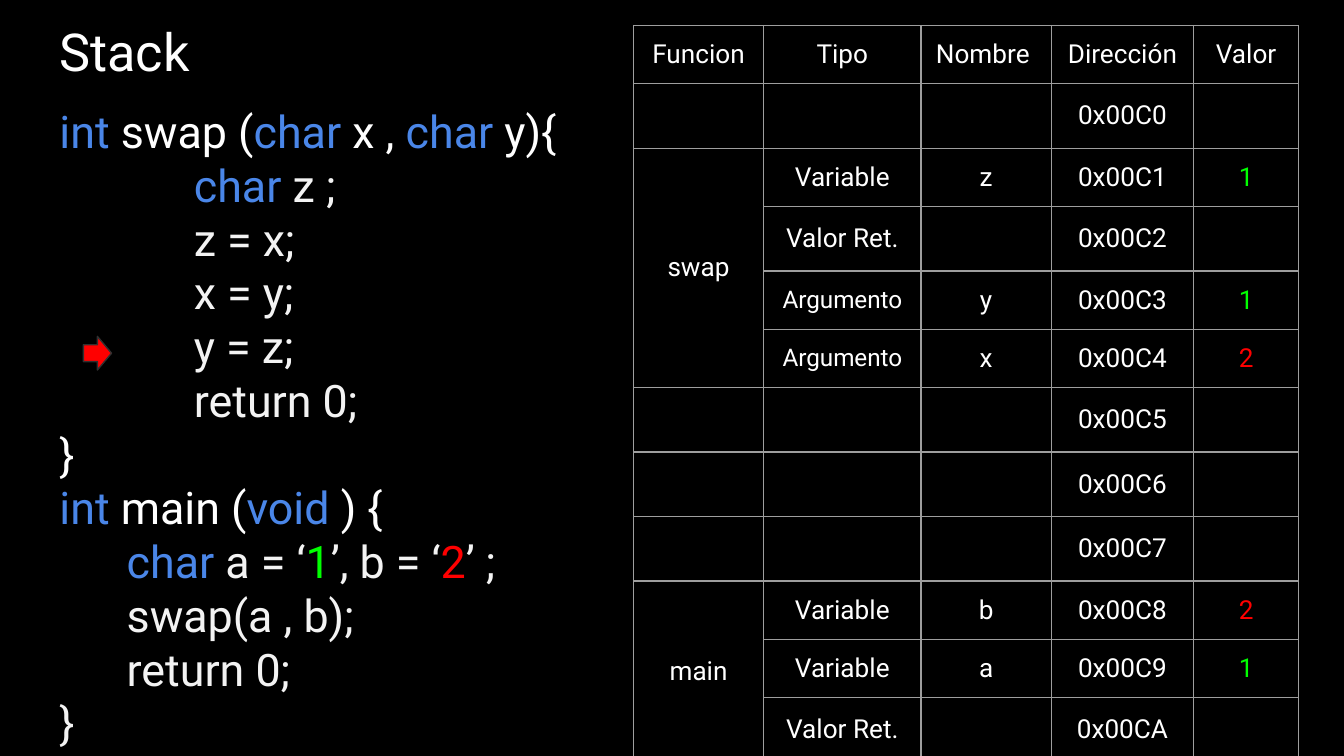
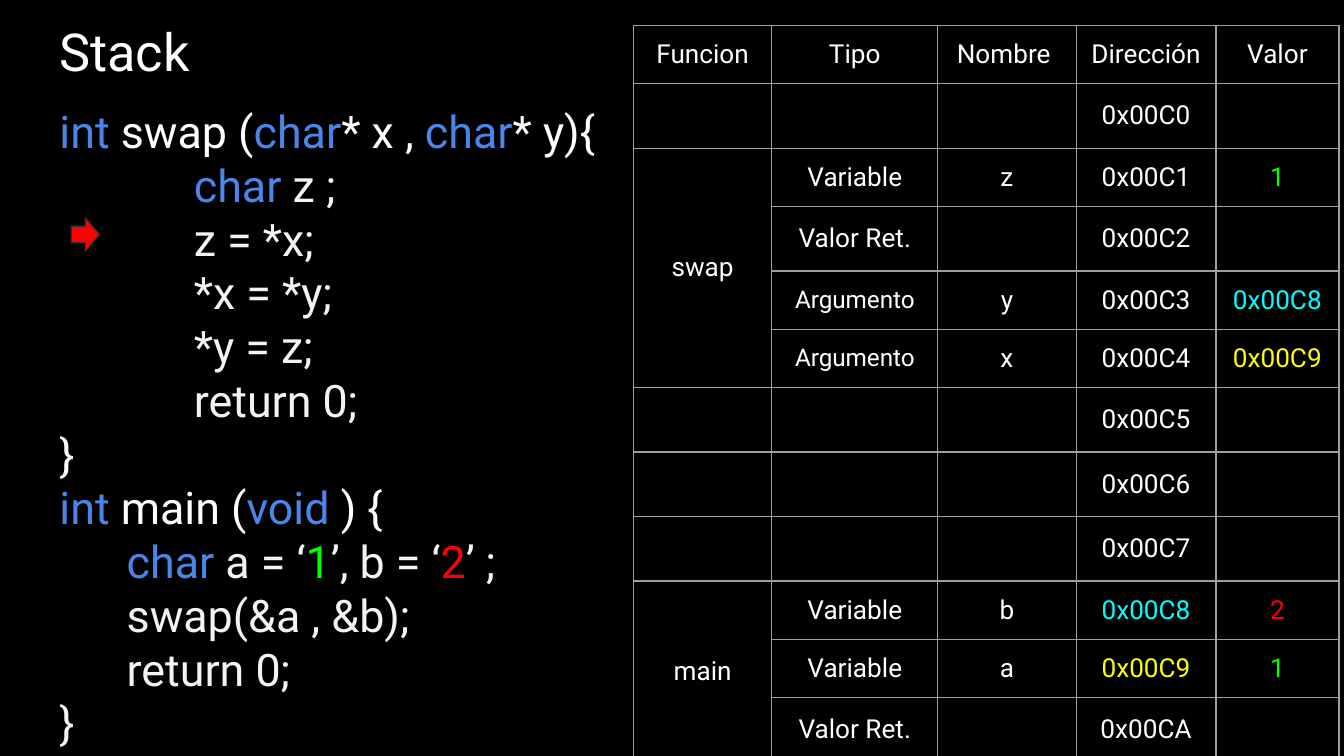
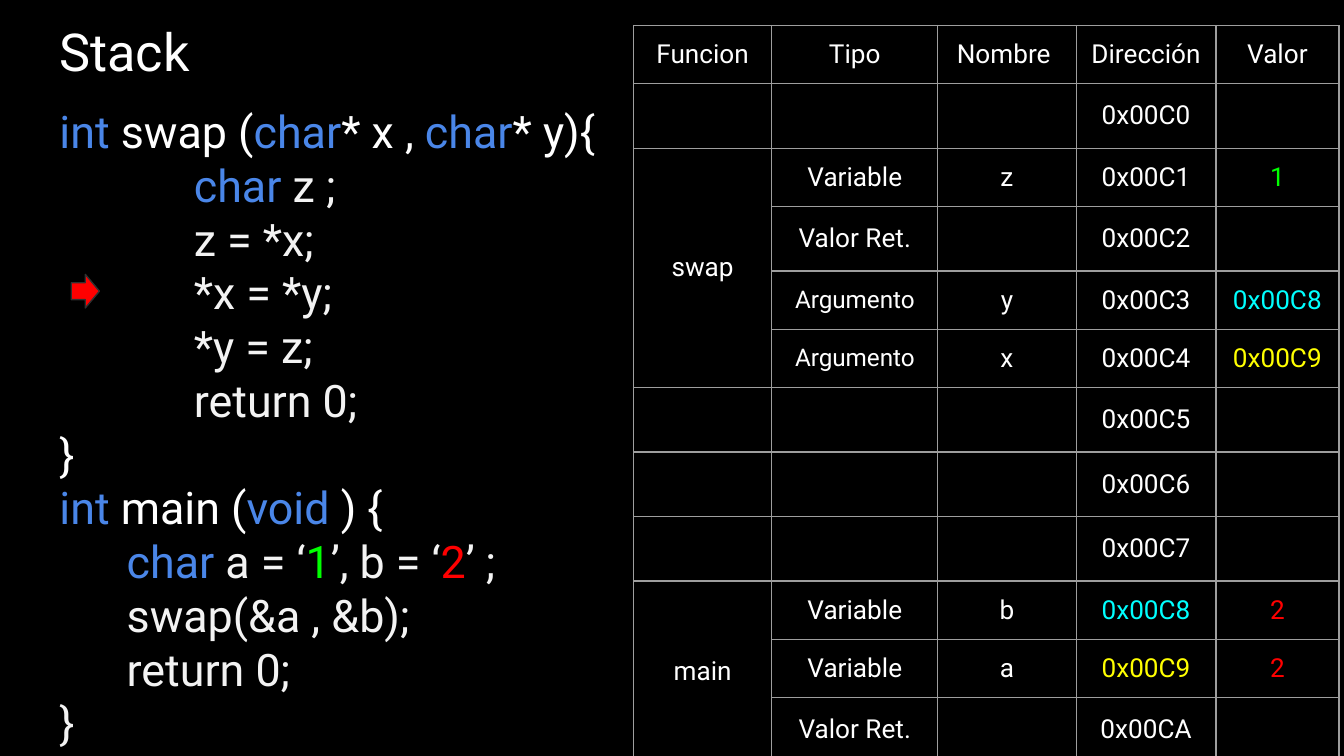
from lxml.etree import SubElement
from pptx import Presentation
from pptx.dml.color import RGBColor
from pptx.enum.shapes import MSO_SHAPE
from pptx.enum.text import MSO_ANCHOR, PP_ALIGN
from pptx.oxml.ns import qn
from pptx.util import Inches, Pt

COLORS = {
    "background": "000000",
    "white": "FFFFFF",
    "body": "F3F3F3",
    "keyword": "4A86E8",
    "one": "00FF00",
    "two": "FF0000",
    "address_b": "00FFFF",
    "address_a": "FFFF00",
    "border": "9E9E9E",
    "arrow_line": "303030",
}
FONT = "Roboto"
WIDTH, HEIGHT = Inches(10), Inches(5.625)
COLUMN, ROW = WIDTH / 100, HEIGHT / 100
INSET = Inches(0.1)
TEXT_LEFT = 3.44

HEADERS = ("Funcion", "Tipo", "Nombre ", "Dirección ", "Valor")
STACK_ROWS = (
    ("", "", ""),
    ("swap", "Variable", "z"),
    (None, "Valor Ret.", ""),
    (None, "Argumento", "y"),
    (None, "Argumento", "x"),
    ("", "", ""),
    ("", "", ""),
    ("", "", ""),
    ("main", "Variable", "b"),
    (None, "Variable", "a"),
    (None, "Valor Ret.", ""),
)
ADDRESSES = [f"0x00C{digit}" for digit in "0123456789A"]
FRAMES = ((2, 5), (9, 11))
NAMED_ROW, UNNAMED_ROW = Inches(0.43), Inches(0.48)
NUMBER_TINTS = {"1": "one", "2": "two"}
POINTER_TINTS = {**NUMBER_TINTS, "0x00C8": "address_b", "0x00C9": "address_a"}
VALUE_COLUMNS = (9.7, 11.7, 9.7, 10.6, 7.8)
POINTER_COLUMNS = (10.3, 12.35, 10.3, 10.4, 9.15)

CHAR = ("char", "keyword")
RETURN = "return 0;"
VALUE_SIGNATURE = (("char ", "keyword"), ("x , ", "white"),
                   ("char ", "keyword"), ("y){", "white"))
POINTER_SIGNATURE = (CHAR, ("* x , ", "white"), CHAR, ("* y){", "white"))


def rgb(name):
    return RGBColor.from_string(COLORS[name])


def place(left, top, width, height):
    return [round(length) for length in
            (left * COLUMN, top * ROW, width * COLUMN, height * ROW)]


def write(paragraph, text, size=24, color="white", align=None):
    run = paragraph.add_run()
    run.text = text
    run.font.size = Pt(size)
    run.font.name = FONT
    run.font.color.rgb = rgb(color)
    if align is not None:
        paragraph.alignment = align


def set_insets(area):
    area.margin_left = area.margin_right = INSET
    area.margin_top = area.margin_bottom = INSET


def add_text_area(slide, left, top, width, height):
    frame = slide.shapes.add_textbox(*place(left, top, width, height)).text_frame
    frame.word_wrap = True
    set_insets(frame)
    return frame


def add_title(slide, title):
    frame = add_text_area(slide, TEXT_LEFT, 0.8, 93.2, 11.2)
    write(frame.paragraphs[0], title, size=28)


def code_lines(signature, statements, call):
    swap_opening = (("int ", "keyword"), ("swap (", "white"), *signature)
    swap_body = [(CHAR, (" z ;", "body")),
                 *[((line, "body"),) for line in (*statements, RETURN)]]
    main_opening = (("int ", "keyword"), ("main (", "white"),
                    ("void ", "keyword"), (") {", "white"))
    declaration = (CHAR, (" a = ‘", "body"), ("1", "one"), ("’, b = ‘", "body"),
                   ("2", "two"), ("’ ;", "body"))
    main_body = [declaration, ((call, "body"),), ((RETURN, "body"),)]
    return [
        (swap_opening, 0),
        *[(line, 1) for line in swap_body],
        ((("}", "white"),), 0),
        (main_opening, 0),
        *[(line, 0.5) for line in main_body],
        ((("}", "body"),), 0),
    ]


def add_code(slide, lines):
    frame = add_text_area(slide, TEXT_LEFT, 11.95, 47.1, 63.5)
    for number, (pieces, indent) in enumerate(lines):
        paragraph = frame.add_paragraph() if number else frame.paragraphs[0]
        if indent:
            properties = paragraph._p.get_or_add_pPr()
            properties.set("marL", "0")
            properties.set("indent", str(Inches(indent)))
        for text, color in pieces:
            write(paragraph, text, color=color)


def set_borders(cell):
    properties = cell._tc.get_or_add_tcPr()
    for position, side in enumerate(("lnL", "lnR", "lnT", "lnB")):
        line = SubElement(properties, qn(f"a:{side}"), w=str(Pt(0.75)))
        fill = SubElement(line, qn("a:solidFill"))
        SubElement(fill, qn("a:srgbClr"), val=COLORS["border"])
        properties.insert(position, line)


def fill_cell(cell, text, color):
    set_insets(cell)
    cell.vertical_anchor = MSO_ANCHOR.MIDDLE
    cell.fill.background()
    set_borders(cell)
    paragraph = cell.text_frame.paragraphs[0]
    if text:
        write(paragraph, text, color=color,
              size=13 if text == "Argumento" else 14, align=PP_ALIGN.CENTER)
    else:
        SubElement(paragraph._p, qn("a:endParaRPr"), sz="1200")


def add_stack(slide, columns, values, tints):
    rows = [HEADERS]
    for address, labels in zip(ADDRESSES, STACK_ROWS):
        rows.append((*labels, address, values.get(labels[2], "")))
    heights = [NAMED_ROW if texts[2] else UNNAMED_ROW for texts in rows]
    area = place(47.13, 3.35, sum(columns), sum(heights) / ROW)
    table = slide.shapes.add_table(len(rows), len(HEADERS), *area).table
    table.first_row = table.horz_banding = False
    for column, width in zip(table.columns, columns):
        column.width = round(width * COLUMN)
    for row, height, texts in zip(table.rows, heights, rows):
        row.height = height
        for cell, text in zip(row.cells, texts):
            fill_cell(cell, text, tints.get(text, "white"))
    for first, last in FRAMES:
        table.cell(first, 0).merge(table.cell(last, 0))


def add_step_arrow(slide, left, top):
    arrow = slide.shapes.add_shape(MSO_SHAPE.RIGHT_ARROW,
                                   *place(left, top, 2.1, 4.45))
    arrow.shadow.inherit = False
    arrow.fill.solid()
    arrow.fill.fore_color.rgb = rgb("two")
    arrow.line.color.rgb = rgb("arrow_line")
    arrow.line.width = Pt(0.75)


def add_step(deck, code, columns, values, tints, arrow):
    slide = deck.slides.add_slide(deck.slide_layouts[6])
    slide.background.fill.solid()
    slide.background.fill.fore_color.rgb = rgb("background")
    add_title(slide, "Stack")
    add_stack(slide, columns, values, tints)
    add_code(slide, code)
    add_step_arrow(slide, *arrow)


def main():
    deck = Presentation()
    deck.slide_width, deck.slide_height = WIDTH, HEIGHT
    by_value = code_lines(VALUE_SIGNATURE, ("z = x;", "x = y;", "y = z;"),
                          "swap(a , b);")
    by_pointer = code_lines(POINTER_SIGNATURE, ("z = *x;", "*x = *y;", "*y = z;"),
                            "swap(&a , &b);")
    add_step(deck, by_value, VALUE_COLUMNS,
             {"z": "1", "y": "1", "x": "2", "b": "2", "a": "1"},
             NUMBER_TINTS, (6.2, 44.5))
    pointers = {"z": "1", "y": "0x00C8", "x": "0x00C9", "b": "2"}
    for a_value, arrow_top in (("1", 28.8), ("2", 36.3)):
        add_step(deck, by_pointer, POINTER_COLUMNS, {**pointers, "a": a_value},
                 POINTER_TINTS, (5.3, arrow_top))
    deck.save("out.pptx")


if __name__ == "__main__":
    main()
